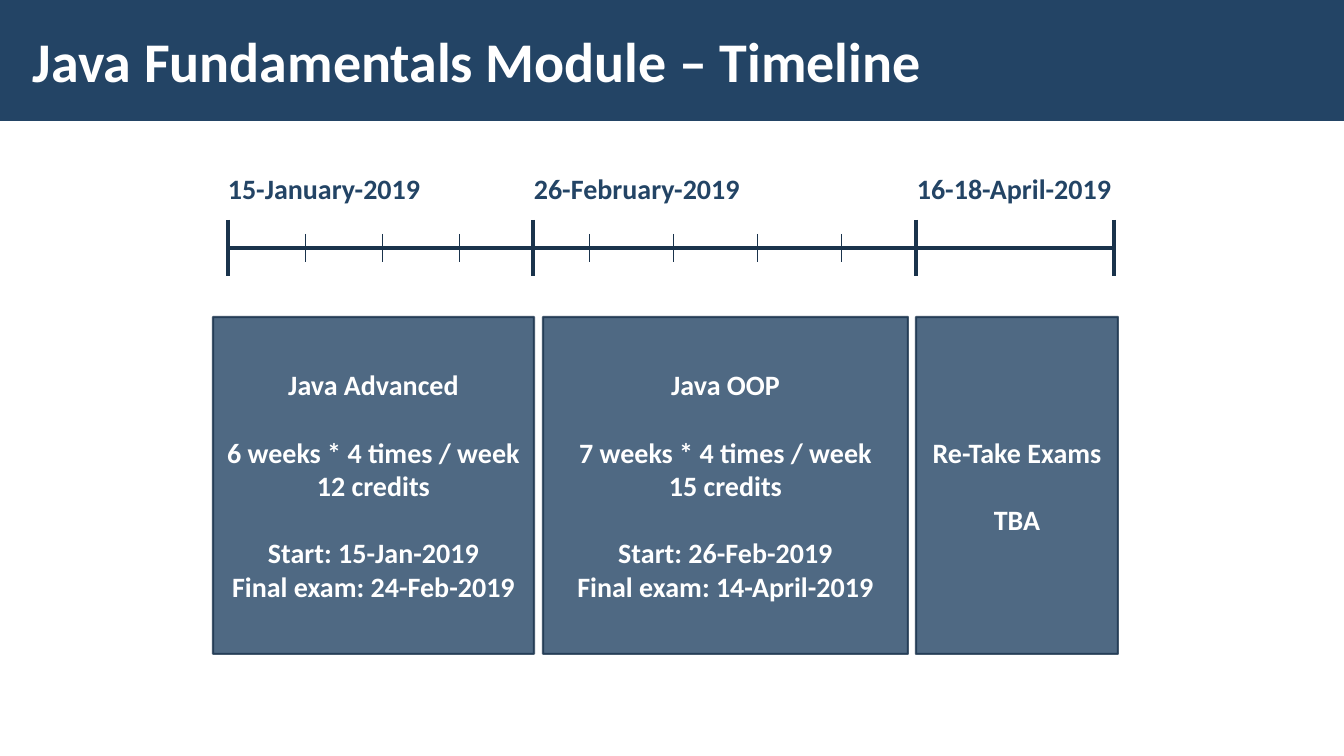
from dataclasses import dataclass

from lxml.etree import SubElement
from pptx import Presentation
from pptx.dml.color import RGBColor
from pptx.enum.shapes import MSO_CONNECTOR, MSO_SHAPE
from pptx.enum.text import MSO_ANCHOR, MSO_AUTO_SIZE, PP_ALIGN
from pptx.oxml.ns import qn
from pptx.util import Emu, Pt


@dataclass(frozen=True)
class Theme:
    font: str = "Calibri"
    navy: RGBColor = RGBColor(0x23, 0x44, 0x65)
    line: RGBColor = RGBColor(0x1A, 0x33, 0x4C)
    white: RGBColor = RGBColor(0xFF, 0xFF, 0xFF)
    title: int = 40
    text: int = 20
    block_gap: int = 24
    major: float = 2.25
    minor: float = 0.5
    border: float = 1.5
    opacity: int = 80


THEME = Theme()
SLIDE_W, SLIDE_H = 1344, 756

# Left edge, width and text of each date label
DATES = [(218, 215, "15-January-2019"),
         (524, 230, "26-February-2019"),
         (907, 217, "16-18-April-2019")]
MAJOR_TICKS = [228, 533, 916, 1114]
MINOR_TICKS = [*range(305, 460, 77), *range(589, 842, 84)]

# Left edge, width and text blocks of each course
COURSES = [
    (213, 321, [["Java Advanced"],
                ["6 weeks * 4 times / week", "12 credits"],
                ["Start: 15-Jan-2019", "Final exam: 24-Feb-2019"]]),
    (543, 365, [["Java OOP"],
                ["7 weeks * 4 times / week", "15 credits"],
                ["Start: 26-Feb-2019", "Final exam: 14-April-2019"]]),
    (916, 202, [["Re-Take Exams"], ["TBA"]]),
]


def px(n):
    return Emu(round(n * 914400 / 100.8))


def box_emu(*box):
    return [px(n) for n in box]


def style(p, size, color):
    p.font.name, p.font.size, p.font.bold = THEME.font, Pt(size), True
    p.font.color.rgb = color


def set_opacity(fill):
    """Make a solid fill, or the fill of a line, partly transparent."""
    color = fill._xPr.find(qn("a:solidFill"))[0]
    SubElement(color, qn("a:alpha"), val=str(THEME.opacity * 1000))


def add_rect(s, box):
    sp = s.shapes.add_shape(MSO_SHAPE.RECTANGLE, *box_emu(*box))
    sp.shadow.inherit = False
    sp.fill.solid()
    sp.fill.fore_color.rgb = THEME.navy
    return sp


def add_line(s, x1, y1, x2, y2, width):
    line = s.shapes.add_connector(MSO_CONNECTOR.STRAIGHT, *box_emu(x1, y1, x2, y2))
    line.line.color.rgb = THEME.line
    line.line.width = Pt(width)
    SubElement(line._element.spPr, qn("a:effectLst"))


def add_header(s, text, x, y, w, h):
    band = add_rect(s, (x, y, w, h))
    band.line.fill.background()
    title = s.shapes.title
    title._element.addprevious(band._element)
    title.left, title.top, title.width, title.height = box_emu(x + 21, y + 11, 1047, h - 23)
    tf = title.text_frame
    tf.text = text
    tf.auto_size = MSO_AUTO_SIZE.NONE
    tf.vertical_anchor = MSO_ANCHOR.MIDDLE
    tf.margin_left = tf.margin_right = px(12)
    tf.margin_top = tf.margin_bottom = px(4)
    p = tf.paragraphs[0]
    p.alignment = PP_ALIGN.LEFT
    style(p, THEME.title, THEME.white)


def add_timeline(s, y, h):
    """Draw the axis with its ticks between y and y + h, and the dates above it."""
    middle = y + h // 2
    for ticks, half, width in ((MAJOR_TICKS, h // 2, THEME.major),
                               (MINOR_TICKS, h // 4, THEME.minor)):
        for x in ticks:
            add_line(s, x, middle - half, x, middle + half, width)
    add_line(s, MAJOR_TICKS[0], middle, MAJOR_TICKS[-1], middle, THEME.major)
    for x, w, date in DATES:
        label = s.shapes.add_textbox(*box_emu(x, y - 53, w, 44))
        tf = label.text_frame
        tf.word_wrap = False
        tf.auto_size = MSO_AUTO_SIZE.SHAPE_TO_FIT_TEXT
        tf.text = date
        style(tf.paragraphs[0], THEME.text, THEME.navy)


def add_course(s, blocks, x, y, w, h):
    card = add_rect(s, (x, y, w, h))
    card.line.color.rgb = THEME.line
    card.line.width = Pt(THEME.border)
    set_opacity(card.fill)
    set_opacity(card.line.fill)
    tf = card.text_frame
    tf.word_wrap = True
    tf.vertical_anchor = MSO_ANCHOR.MIDDLE
    lines = [(i, text) for block in blocks for i, text in enumerate(block)]
    for n, (i, text) in enumerate(lines):
        p = tf.add_paragraph() if n else tf.paragraphs[0]
        p.text = text
        p.alignment = PP_ALIGN.CENTER
        if n and i == 0:
            p.space_before = Pt(THEME.block_gap)
        style(p, THEME.text, THEME.white)


def main():
    prs = Presentation()
    prs.slide_width, prs.slide_height = box_emu(SLIDE_W, SLIDE_H)
    s = prs.slides.add_slide(prs.slide_layouts.get_by_name("Title Only"))
    add_header(s, "Java Fundamentals Module – Timeline", 0, 0, SLIDE_W, 121)
    add_timeline(s, 220, 57)
    for x, w, blocks in COURSES:
        add_course(s, blocks, x, 317, w, 337)
    prs.save("out.pptx")


if __name__ == "__main__":
    main()
